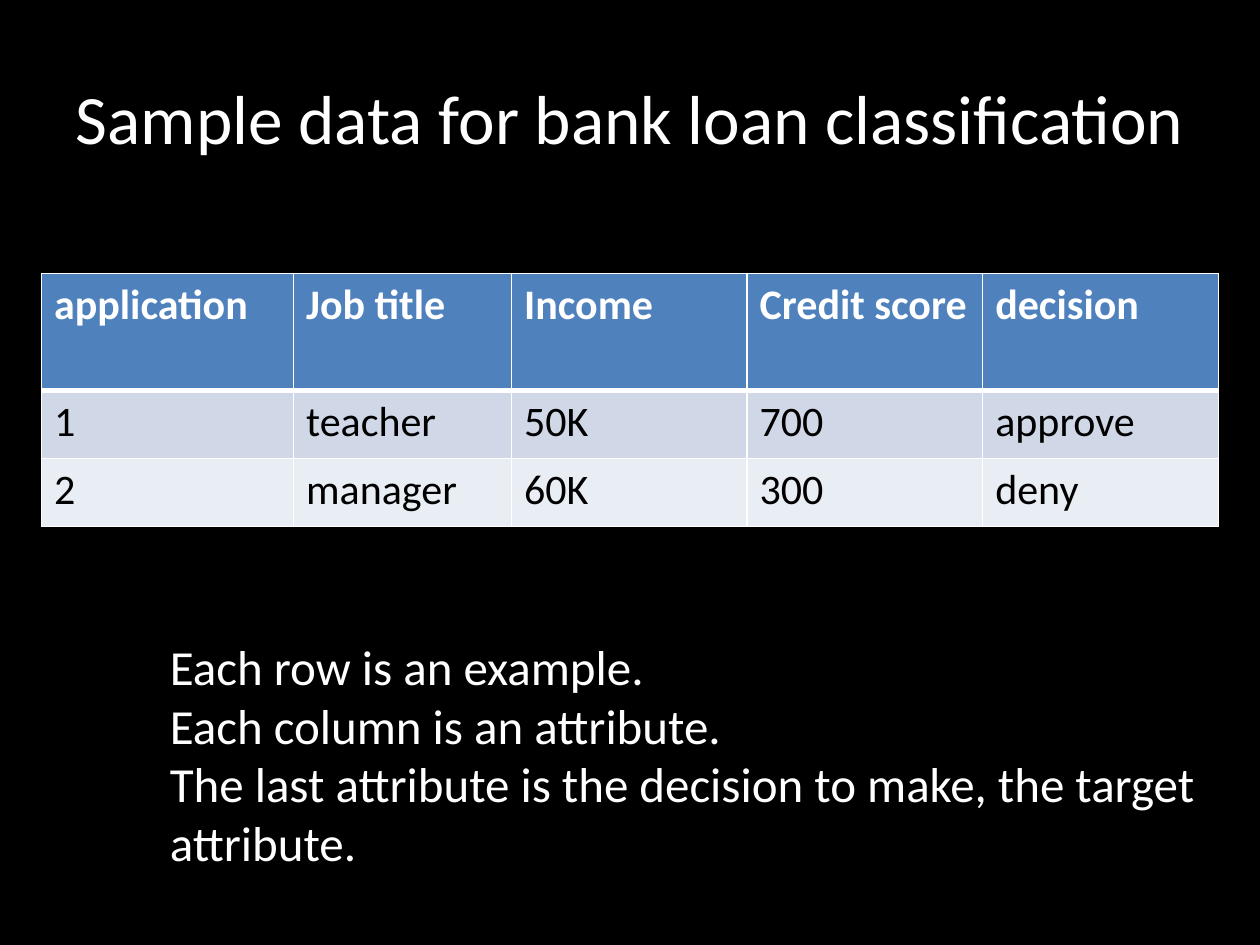
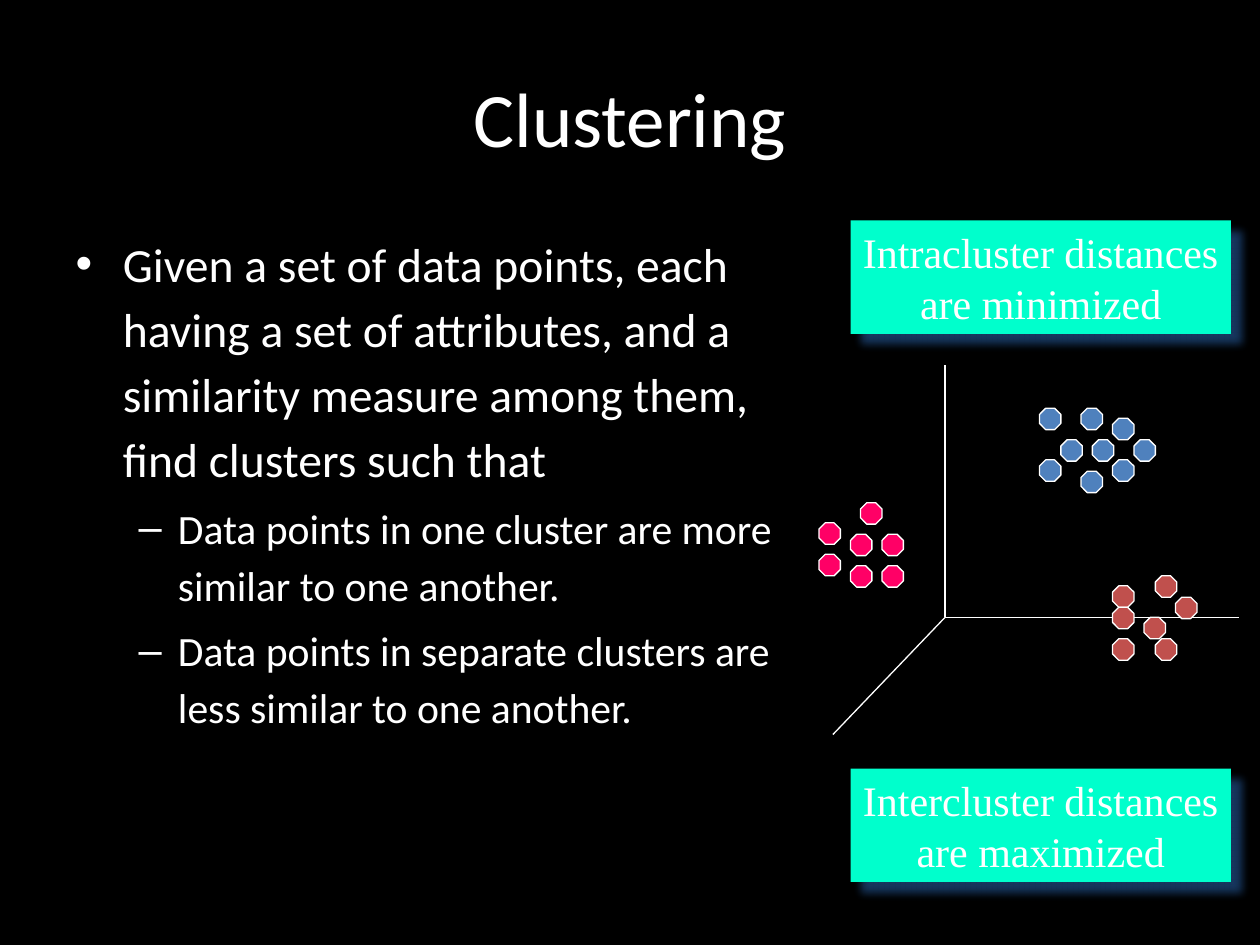
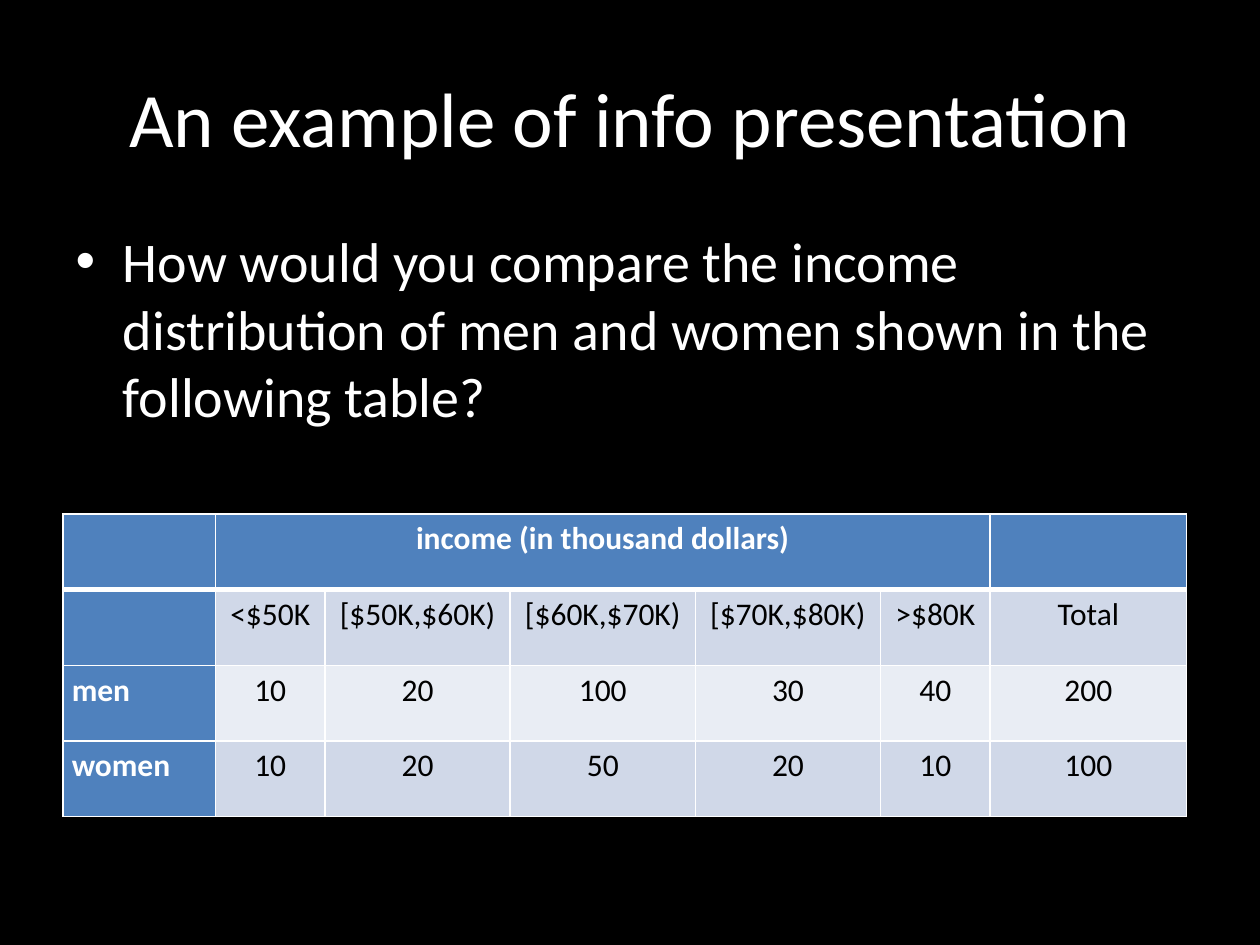
import pptx
import pptx.dml.color
import pptx.enum.shapes
import pptx.enum.text
import pptx.oxml.ns
import pptx.util
from lxml import etree

Inches = pptx.util.Inches
Pt = pptx.util.Pt
RGBColor = pptx.dml.color.RGBColor
Align = pptx.enum.text.PP_ALIGN
AutoSize = pptx.enum.text.MSO_AUTO_SIZE
qn = pptx.oxml.ns.qn

# Shared look
BLACK = RGBColor(0x00, 0x00, 0x00)
WHITE = RGBColor(0xFF, 0xFF, 0xFF)
BLUE = RGBColor(0x4F, 0x81, 0xBD)
RED = RGBColor(0xC0, 0x50, 0x4D)
PINK = RGBColor(0xFF, 0x00, 0x66)
MINT = RGBColor(0x00, 0xFF, 0xCC)
NAVY = RGBColor(0x1F, 0x49, 0x7D)
BAND_DARK = RGBColor(0xD0, 0xD8, 0xE8)
BAND_LIGHT = RGBColor(0xE9, 0xED, 0xF4)
SANS = "Calibri"
SERIF = "Times New Roman"
TITLE_BOX = (0.5, 0.3, 9, 1.25)
LAYOUT_CONTENT, LAYOUT_TITLE = 1, 5

# Data points of each cluster, relative to the plot box
POINT_SIZE = 0.17
CLUSTERS = [
    (BLUE, [(1.92, 0.59), (2.17, 0.59), (2.08, 0.34), (2.08, 0.84), (2.5, 0.59),
            (2.33, 0.42), (1.75, 0.34), (2.33, 0.75), (1.75, 0.75)]),
    (PINK, [(0, 1.25), (0.25, 1.34), (0.25, 1.59), (0.5, 1.34), (0.33, 1.09),
            (0.5, 1.59), (0, 1.5)]),
    (RED, [(2.33, 1.75), (2.83, 1.84), (2.58, 2), (2.33, 2.17), (2.67, 2.17),
           (2.33, 1.92), (2.67, 1.67)]),
]
AXIS_ORIGIN = (1, 2)
AXIS_ENDS = [(1, 0), (3.33, 2), (0.11, 2.93)]


def place(shape, box):
    shape.left, shape.top, shape.width, shape.height = map(Inches, box)


def style_para(para, size, color=WHITE, font=SANS, bold=False):
    for span in para.runs:
        span.font.name = font
        span.font.size = Pt(size)
        span.font.bold = bold
        span.font.color.rgb = color


def add_page(deck, layout, title, title_size=44):
    page = deck.slides.add_slide(deck.slide_layouts[layout])
    heading = page.shapes.title
    place(heading, TITLE_BOX)
    heading.text_frame.text = title
    heading.text_frame.auto_size = AutoSize.NONE
    style_para(heading.text_frame.paragraphs[0], title_size)
    return page


def fill_body(page, box, items, sizes, spacing=None):
    """Write (level, text) items into the body placeholder."""
    body = page.placeholders[1]
    place(body, box)
    frame = body.text_frame
    frame.text = "\n".join(text for _, text in items)
    frame.auto_size = AutoSize.NONE
    for para, (level, _) in zip(frame.paragraphs, items):
        para.level = level
        para.line_spacing = spacing
        style_para(para, sizes[level])
    frame.paragraphs[0].space_before = Pt(0)


# Tables
def set_borders(cell, top, bottom):
    properties = cell._tc.get_or_add_tcPr()
    for side, width in (("L", 1), ("R", 1), ("T", top), ("B", bottom)):
        line = etree.SubElement(properties, qn("a:ln" + side), w=str(Pt(width)))
        fill = etree.SubElement(line, qn("a:solidFill"))
        etree.SubElement(fill, qn("a:srgbClr"), val=str(WHITE))


def add_grid(page, corner, widths, heights, rows, size, row_heads=False):
    """Add a table with a header row, banded rows and optional row heads."""
    box = (*corner, sum(widths), sum(heights))
    frame = page.shapes.add_table(len(rows), len(widths), *map(Inches, box))
    table = frame.table
    table.first_col = row_heads
    for column, width in zip(table.columns, widths):
        column.width = Inches(width)
    for row, height in zip(table.rows, heights):
        row.height = Inches(height)
    for r, texts in enumerate(rows):
        for c, text in enumerate(texts):
            cell = table.cell(r, c)
            is_head = r == 0 or (row_heads and c == 0)
            set_borders(cell, top=3 if r == 1 else 1, bottom=3 if r == 0 else 1)
            cell.fill.solid()
            band = BAND_DARK if r % 2 else BAND_LIGHT
            cell.fill.fore_color.rgb = BLUE if is_head else band
            cell.text_frame.text = text
            style_para(cell.text_frame.paragraphs[0], size,
                       WHITE if is_head else BLACK, bold=is_head)
    return table


def center_values(table):
    """Tighten the cell margins and centre all but the first column."""
    for row in table.rows:
        for c, cell in enumerate(row.cells):
            cell.margin_left = cell.margin_right = Inches(0.07)
            cell.margin_top = cell.margin_bottom = 0
            para = cell.text_frame.paragraphs[0]
            para.line_spacing = 1.15
            if c:
                para.alignment = Align.CENTER


# Cluster plot
def add_plot(page, left, top):
    plot = page.shapes.add_group_shape()
    start = (Inches(left + AXIS_ORIGIN[0]), Inches(top + AXIS_ORIGIN[1]))
    for x, y in AXIS_ENDS:
        axis = plot.shapes.add_connector(
            pptx.enum.shapes.MSO_CONNECTOR.STRAIGHT, *start,
            Inches(left + x), Inches(top + y))
        axis.line.color.rgb = WHITE
        axis.line.width = Pt(0.75)
        etree.SubElement(axis._element.spPr, qn("a:effectLst"))
    for color, points in CLUSTERS:
        for x, y in points:
            point = plot.shapes.add_shape(
                pptx.enum.shapes.MSO_SHAPE.OCTAGON, Inches(left + x),
                Inches(top + y), Inches(POINT_SIZE), Inches(POINT_SIZE))
            point.shadow.inherit = False
            point.fill.solid()
            point.fill.fore_color.rgb = color
            point.line.color.rgb = WHITE
            point.line.width = Pt(0.75)


def add_drop_shadow(shape):
    shape.shadow.inherit = False
    effects = shape._element.spPr.find(qn("a:effectLst"))
    shadow = etree.SubElement(effects, qn("a:outerShdw"), blurRad=str(Pt(5)),
                              dist=str(Pt(8.5)), dir=str(45 * 60000),
                              algn="ctr", rotWithShape="0")
    color = etree.SubElement(shadow, qn("a:srgbClr"), val=str(NAVY))
    etree.SubElement(color, qn("a:alpha"), val="75000")


def add_callout(page, box, text):
    callout = page.shapes.add_shape(
        pptx.enum.shapes.MSO_SHAPE.RECTANGLE, *map(Inches, box))
    callout.fill.solid()
    callout.fill.fore_color.rgb = MINT
    callout.line.fill.background()
    add_drop_shadow(callout)
    callout.text_frame.text = text
    callout.text_frame.word_wrap = False
    for para in callout.text_frame.paragraphs:
        para.alignment = Align.CENTER
        style_para(para, 24, font=SERIF)


# Slides
def add_loan_page(deck):
    page = add_page(deck, LAYOUT_TITLE, "Sample data for bank loan classification", 39.6)
    rows = [
        ["application", "Job title", "Income", "Credit score", "decision"],
        ["1", "teacher", "50K", "700", "approve"],
        ["2", "manager", "60K", "300", "deny"],
    ]
    add_grid(page, (0.33, 2.17), [2, 1.73, 1.87, 1.87, 1.87],
             [0.93, 0.54, 0.54], rows, 24)
    remarks = page.shapes.add_textbox(*map(Inches, (1.25, 5, 8.42, 1.99)))
    remarks.text_frame.word_wrap = True
    remarks.text_frame.text = (
        "Each row is an example.\n"
        "Each column is an attribute.\n"
        "The last attribute is the decision to make, the target attribute.")
    for para in remarks.text_frame.paragraphs:
        style_para(para, 28)


def add_clustering_page(deck):
    page = add_page(deck, LAYOUT_CONTENT, "Clustering")
    items = [
        (0, "Given a set of data points, each having a set of attributes, and a "
            "similarity measure among them, find clusters such that"),
        (1, "Data points in one cluster are more similar to one another."),
        (1, "Data points in separate clusters are less similar to one another."),
    ]
    fill_body(page, (0.5, 1.75, 5.75, 4.95), items, (27.2, 23.8), 1.14)
    add_plot(page, 6.5, 2.9)
    add_callout(page, (6.75, 1.75, 3.02, 0.9), "Intracluster distances\nare minimized")
    add_callout(page, (6.75, 6.1, 3.02, 0.9), "Intercluster distances\nare maximized")


def add_income_page(deck):
    page = add_page(deck, LAYOUT_CONTENT, "An example of info presentation")
    question = ("How would you compare the income distribution of men and women "
                "shown in the following table?")
    fill_body(page, (0.5, 1.75, 9, 2.92), [(0, question)], (32,))
    rows = [
        ["", "income (in thousand dollars)", "", "", "", "", ""],
        ["", "<$50K", "[$50K,$60K)", "[$60K,$70K)", "[$70K,$80K)", ">$80K", "Total"],
        ["men", "10", "20", "100", "30", "40", "200"],
        ["women", "10", "20", "50", "20", "10", "100"],
    ]
    table = add_grid(page, (0.5, 4.08), [1.21, 0.87, 1.47, 1.47, 1.47, 0.87, 1.56],
                     [0.6] * len(rows), rows, 18, row_heads=True)
    center_values(table)
    table.cell(0, 1).merge(table.cell(0, 5))


def main():
    deck = pptx.Presentation()
    deck.slide_width, deck.slide_height = Inches(10), Inches(7.5)
    backdrop = deck.slide_master.background.fill
    backdrop.solid()
    backdrop.fore_color.rgb = BLACK
    add_loan_page(deck)
    add_clustering_page(deck)
    add_income_page(deck)
    deck.save("out.pptx")


if __name__ == "__main__":
    main()
